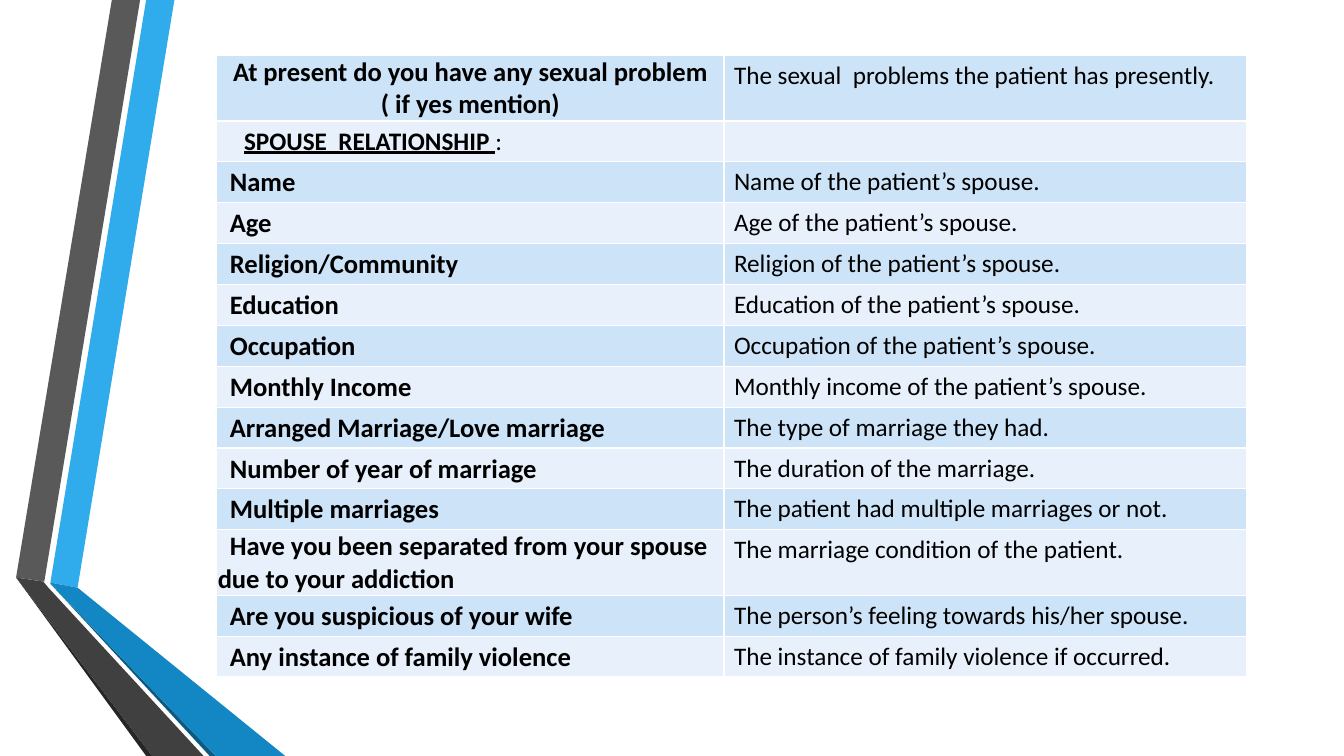
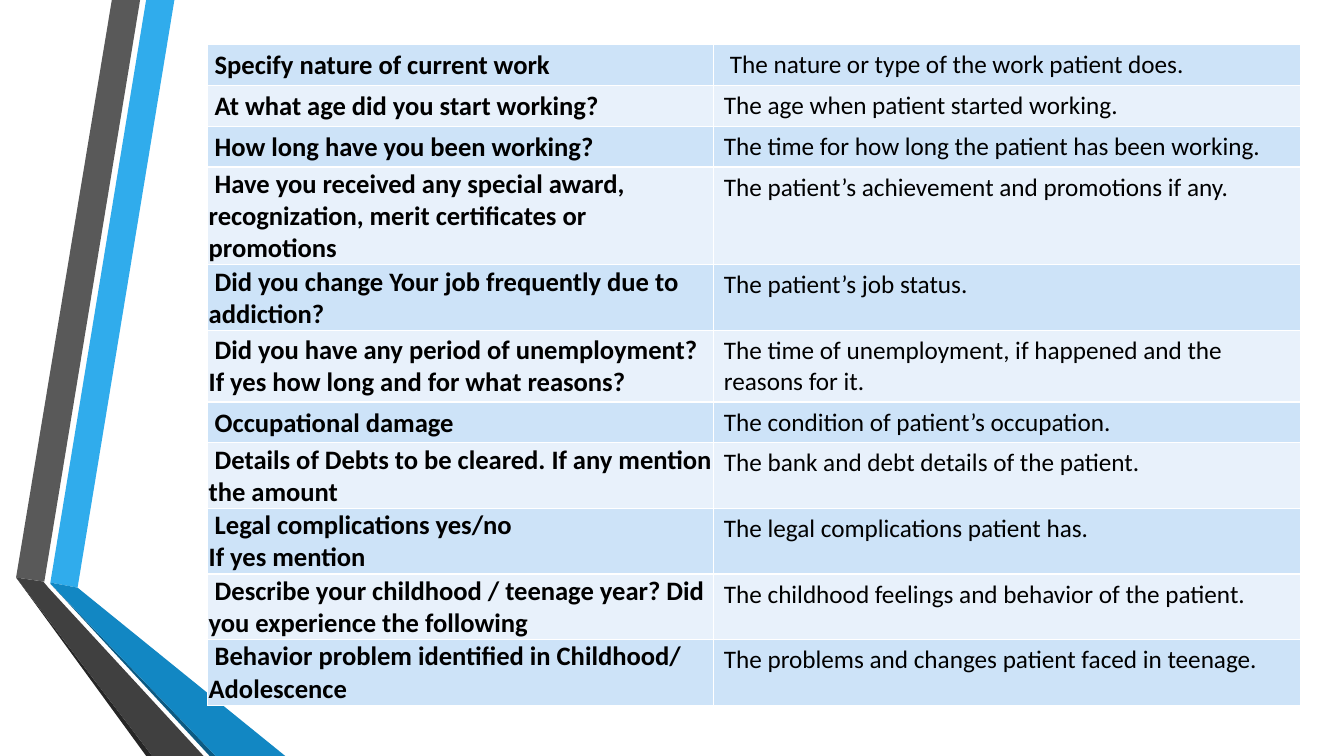
"""Build two pages of case history questions with their explanations."""
from lxml.etree import SubElement
from pptx import Presentation
from pptx.dml.color import RGBColor
from pptx.enum.text import MSO_ANCHOR, PP_ALIGN
from pptx.oxml.ns import qn
from pptx.util import Inches, Pt

FONT = "Calibri"
BLACK = RGBColor(0x00, 0x00, 0x00)
WHITE = RGBColor(0xFF, 0xFF, 0xFF)
ROW_FILLS = (RGBColor(0xCD, 0xE3, 0xF8), RGBColor(0xE8, 0xF1, 0xFB))
SKY = RGBColor(0x30, 0xAC, 0xEC)
BLUE = RGBColor(0x12, 0x87, 0xC3)
NAVY = RGBColor(0x0C, 0x5A, 0x82)
GREY = RGBColor(0x59, 0x59, 0x59)
CHARCOAL = RGBColor(0x40, 0x40, 0x40)
INK = RGBColor(0x26, 0x26, 0x26)

RIBBONS = (
    (SKY, ((0.5, 5.78), (0.77, 5.83), (1.73, 0), (1.45, 0))),
    (GREY, ((1.39, 0), (1.11, 0), (0.16, 5.73), (0.44, 5.77))),
    (INK, ((0.16, 5.73), (1.45, 7.5), (1.51, 7.5))),
    (NAVY, ((0.5, 5.79), (2.08, 7.5), (2.14, 7.5))),
    (BLUE, ((0.5, 5.79), (2.14, 7.5), (2.83, 7.5), (0.77, 5.83), (0.5, 5.78))),
    (CHARCOAL, ((2.02, 7.5), (0.48, 5.83), (0.43, 5.77), (0.16, 5.73), (1.51, 7.5))),
)

SPOUSE_ROWS = (
    ("At present do you have any sexual problem\n( if yes mention)",
     "The sexual  problems the patient has presently."),
    ("", ""),
    ("Name", "Name of the patient’s spouse."),
    ("Age", "Age of the patient’s spouse."),
    ("Religion/Community", "Religion of the patient’s spouse."),
    ("Education", "Education of the patient’s spouse."),
    ("Occupation", "Occupation of the patient’s spouse."),
    ("Monthly Income", "Monthly income of the patient’s spouse."),
    ("Arranged Marriage/Love marriage", "The type of marriage they had."),
    ("Number of year of marriage", "The duration of the marriage."),
    ("Multiple marriages", "The patient had multiple marriages or not."),
    ("Have you been separated from your spouse due to your addiction",
     "The marriage condition of the patient."),
    ("Are you suspicious of your wife", "The person’s feeling towards his/her spouse."),
    ("Any instance of family violence", "The instance of family violence if occurred."),
)

WORK_ROWS = (
    ("Specify nature of current work", "The nature or type of the work patient does."),
    ("At what age did you start working?", "The age when patient started working."),
    ("How long have you been working?",
     "The time for how long the patient has been working."),
    ("Have you received any special award, recognization, merit certificates or promotions",
     "The patient’s achievement and promotions if any."),
    ("Did you change Your job frequently due to addiction?", "The patient’s job status."),
    ("Did you have any period of unemployment?\nIf yes how long and for what reasons?",
     "The time of unemployment, if happened and the reasons for it."),
    ("Occupational damage", "The condition of patient’s occupation."),
    ("Details of Debts to be cleared. If any mention the amount",
     "The bank and debt details of the patient."),
    ("Legal complications yes/no\nIf yes mention", "The legal complications patient has."),
    ("Describe your childhood / teenage year? Did you experience the following",
     "The childhood feelings and behavior of the patient."),
    ("Behavior problem identified in Childhood/ Adolescence",
     "The problems and changes patient faced in teenage."),
)


def add_ribbons(master, page):
    """Draw the folded ribbons and move them to the master, behind its placeholders."""
    for number, (color, points) in enumerate(RIBBONS):
        start, *rest = [(Inches(x), Inches(y)) for x, y in points]
        builder = page.shapes.build_freeform(*start)
        builder.add_line_segments(rest, close=True)
        ribbon = builder.convert_to_shape()
        ribbon.name = f"Ribbon {number + 1}"
        ribbon.shadow.inherit = False
        ribbon.fill.solid()
        ribbon.fill.fore_color.rgb = color
        ribbon.line.fill.background()
        ribbon.element.nvSpPr.cNvPr.id = 20 + number
        master.shapes.element.insert(2 + number, ribbon.element)


def style_cell(cell, color):
    """Give a cell thin white borders and a fill."""
    properties = cell._tc.get_or_add_tcPr()
    for side in ("a:lnL", "a:lnR", "a:lnT", "a:lnB"):
        line = SubElement(properties, qn(side), w=str(Pt(1)))
        fill = SubElement(line, qn("a:solidFill"))
        SubElement(fill, qn("a:srgbClr"), val=str(WHITE))
    cell.fill.solid()
    cell.fill.fore_color.rgb = color


def style_para(para, size, bold=False, indent=0):
    """Set a paragraph's font and its first-line indent in inches."""
    para.font.name = FONT
    para.font.size = Pt(size)
    para.font.bold = bold
    para.font.color.rgb = BLACK
    properties = para._p.get_or_add_pPr()
    properties.set("marL", "0")
    properties.set("indent", str(Inches(indent)))


def write_question(cell, text, indent):
    """Write a bold question in a cell with narrow margins."""
    cell.vertical_anchor = MSO_ANCHOR.MIDDLE
    cell.margin_left = cell.margin_top = cell.margin_right = Inches(0.01)
    cell.margin_bottom = 0
    para = cell.text_frame.paragraphs[0]
    para.text = text
    style_para(para, 19, bold=True, indent=indent)


def write_answer(cell, text):
    """Write an explanation in plain type."""
    para = cell.text_frame.paragraphs[0]
    para.text = text
    style_para(para, 18)


def write_section(cell, text):
    """Write an underlined section heading followed by a plain colon."""
    para = cell.text_frame.paragraphs[0]
    style_para(para, 18, indent=0.17)
    heading = para.add_run()
    heading.text = text
    heading.font.bold = heading.font.underline = True
    para.add_run().text = ":"


def add_question_table(page, rows, left, top, widths, indent):
    """Add a banded table of questions and answers and return it."""
    row_height = Inches(0.4)
    frame = page.shapes.add_table(len(rows), 2, Inches(left), Inches(top),
                                  Inches(sum(widths)), row_height * len(rows))
    table = frame.table
    table.first_row = table.horz_banding = False
    for column, width in zip(table.columns, widths):
        column.width = Inches(width)
    for index, (question, answer) in enumerate(rows):
        table.rows[index].height = row_height
        for cell in table.rows[index].cells:
            style_cell(cell, ROW_FILLS[index % 2])
        if question:
            write_question(table.cell(index, 0), question, indent)
        write_answer(table.cell(index, 1), answer)
    return table


def main():
    """Build and save the deck."""
    deck = Presentation()
    deck.slide_width, deck.slide_height = Inches(13.33), Inches(7.5)
    blank = deck.slide_layouts[6]

    page = deck.slides.add_slide(blank)
    add_ribbons(deck.slide_master, page)
    table = add_question_table(page, SPOUSE_ROWS, 2.15, 0.55, (5.03, 5.18), 0.12)
    opening = table.cell(0, 0).text_frame.paragraphs[0]
    style_para(opening, 19, bold=True)
    opening.alignment = PP_ALIGN.CENTER
    write_section(table.cell(1, 0), "SPOUSE  RELATIONSHIP ")

    page = deck.slides.add_slide(blank)
    table = add_question_table(page, WORK_ROWS, 2.06, 0.44, (5.02, 5.82), 0.06)
    style_para(table.cell(0, 1).text_frame.paragraphs[0], 18, indent=0.06)

    deck.save("out.pptx")


if __name__ == "__main__":
    main()
